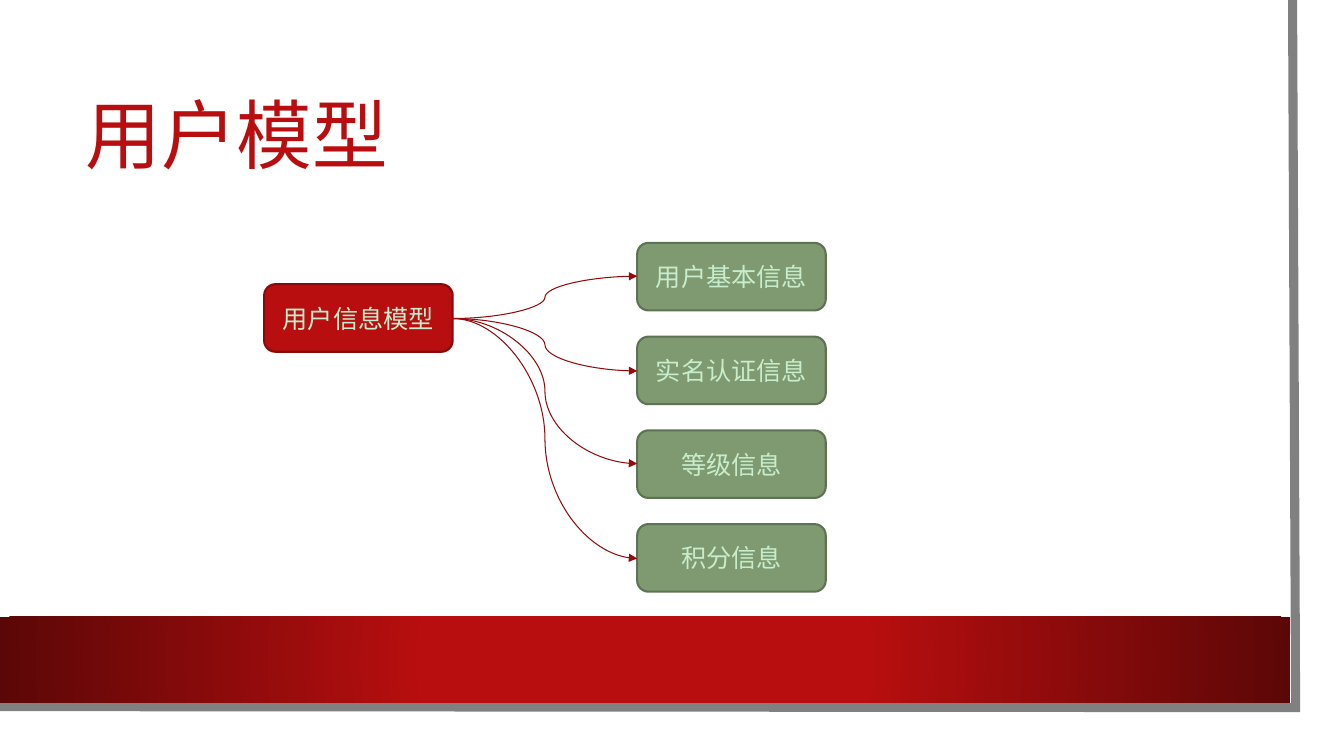
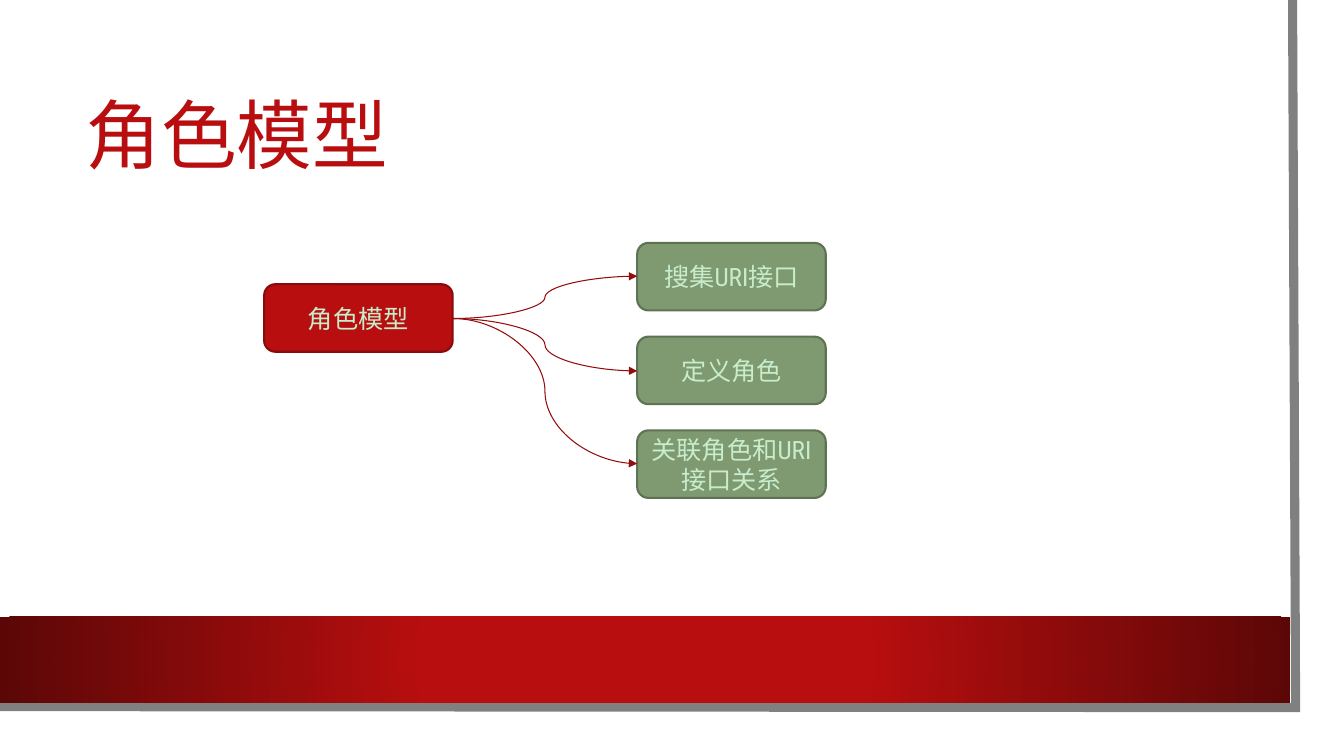
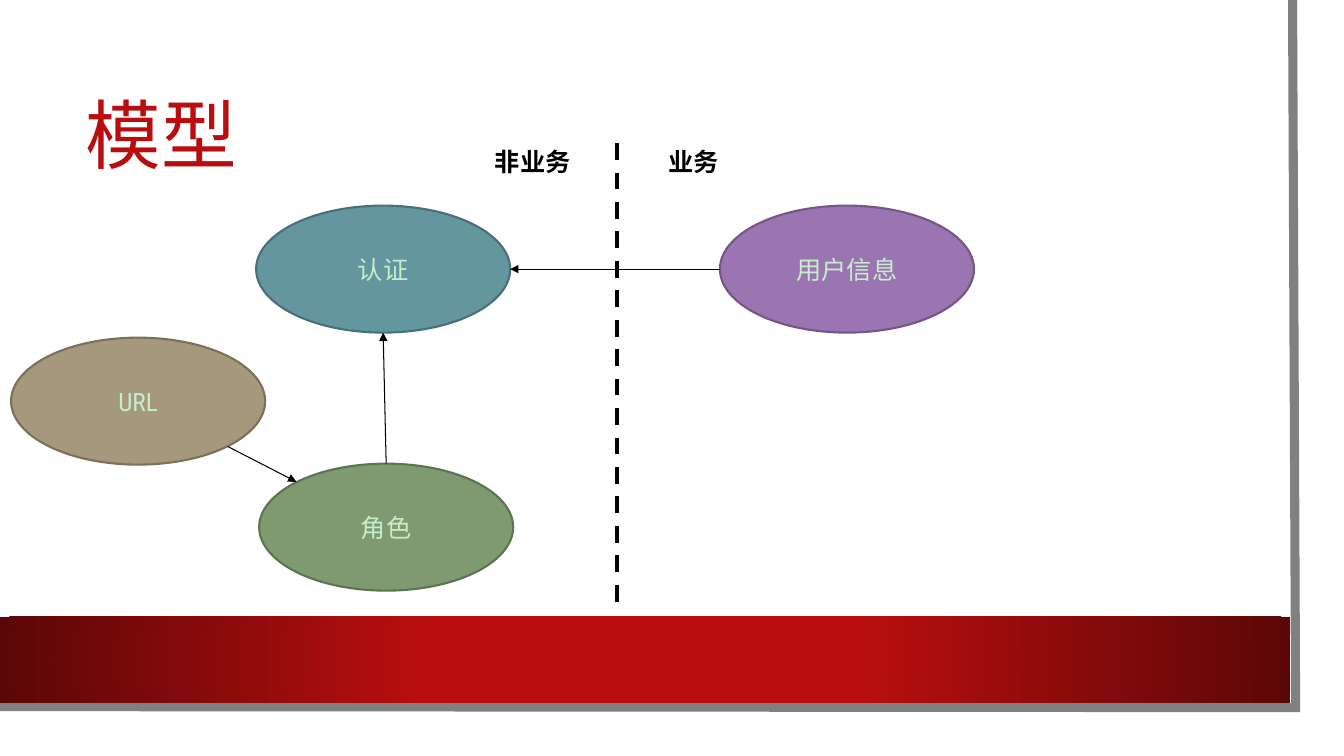
from dataclasses import dataclass
from math import cos, pi, sin

from lxml import etree
from pptx import Presentation
from pptx import util as u
from pptx.dml.color import RGBColor
from pptx.enum import dml, shapes, text
from pptx.oxml import parse_xml
from pptx.oxml.ns import nsdecls, qn

PX = 9144  # 100 px to the inch
FONT = "Roboto Condensed"
RED, DARK, WINE, GREY = "B80E0F", "5C0707", "930B0C", "808080"
PALE, BLACK = "C7EDCC", "000000"
ROUND = shapes.MSO_SHAPE.ROUNDED_RECTANGLE
OVAL = shapes.MSO_SHAPE.OVAL
SITES = {ROUND: 4, OVAL: 8}


@dataclass(frozen=True)
class Tone:
    fill: str
    edge: str


CHERRY = Tone(RED, "880A0B")
GREEN = Tone("7F9A71", "5E7254")
TEAL = Tone("64969F", "4A6F76")
PLUM = Tone("9B75B2", "735784")
SAND = Tone("A6987D", "7B705C")


@dataclass(frozen=True)
class Node:
    label: str
    x: int
    y: int
    w: int
    h: int
    tone: Tone
    kind: int

    def site(self, idx: int) -> tuple[int, int]:
        """Connection point, counted anticlockwise from the top."""
        turn = 2 * pi * idx / SITES[self.kind]
        return (round(self.x + self.w / 2 * (1 - sin(turn))),
                round(self.y + self.h / 2 * (1 - cos(turn))))


@dataclass(frozen=True)
class Link:
    start: str
    out: int
    end: str
    into: int


def rgb(code: str) -> RGBColor:
    return RGBColor.from_string(code)


def emu(*sizes: int) -> list[int]:
    return [size * PX for size in sizes]


def style(frame, size: int, color: str, bold: bool = False) -> None:
    for par in frame.paragraphs:
        for run in par.runs:
            font = run.font
            font.name, font.size, font.bold = FONT, u.Pt(size), bold
            font.color.rgb = rgb(color)


def stroke(item, color: str, width: float) -> None:
    item.line.color.rgb = rgb(color)
    item.line.width = u.Pt(width)


def build_frame(slide) -> None:
    """Draw the grey edge and red band, then move them to the layout."""
    pen = slide.shapes.build_freeform(1282, 0, scale=PX)
    pen.add_line_segments([(1285, 702), (-3, 701)], close=False)
    edge = pen.convert_to_shape()
    edge.fill.background()
    stroke(edge, GREY, 6.5)
    etree.SubElement(edge.get_or_add_ln(), qn("a:miter"), lim="800000")

    band = slide.shapes.add_shape(shapes.MSO_SHAPE.RECTANGLE,
                                  *emu(0, 612, 1280, 85))
    band.fill.background()
    band.line.fill.background()
    props = band.element.spPr
    props.replace(props.find(qn("a:noFill")), parse_xml(
        f'<a:gradFill {nsdecls("a")}><a:gsLst>'
        f'<a:gs pos="34000"><a:srgbClr val="{RED}"/></a:gs>'
        f'<a:gs pos="100000"><a:srgbClr val="{DARK}"/></a:gs></a:gsLst>'
        '<a:path path="circle">'
        '<a:fillToRect l="50000" t="50000" r="50000" b="50000"/>'
        '</a:path></a:gradFill>'))

    tree = slide.slide_layout.shapes.element
    for spot, item in enumerate((edge, band), 2):
        item.shadow.inherit = False
        item.element.nvSpPr.cNvPr.set("id", str(100 + spot))
        tree.insert(spot, item.element)


def add_slide(deck, name: str):
    slide = deck.slides.add_slide(deck.slide_layouts[5])
    title = slide.shapes.title
    title.left, title.top, title.width, title.height = emu(75, 75, 1137, 126)
    frame = title.text_frame
    frame.text = name
    frame.auto_size = text.MSO_AUTO_SIZE.NONE
    frame.vertical_anchor = text.MSO_ANCHOR.MIDDLE
    par = frame.paragraphs[0]
    par.alignment, par.line_spacing = text.PP_ALIGN.LEFT, 0.9
    style(frame, 54, RED)
    return slide


def add_node(slide, node: Node):
    item = slide.shapes.add_shape(node.kind,
                                  *emu(node.x, node.y, node.w, node.h))
    item.shadow.inherit = False
    item.fill.solid()
    item.fill.fore_color.rgb = rgb(node.tone.fill)
    stroke(item, node.tone.edge, 1.5)
    frame = item.text_frame
    frame.text = node.label
    frame.word_wrap = True
    frame.vertical_anchor = text.MSO_ANCHOR.MIDDLE
    frame.paragraphs[0].alignment = text.PP_ALIGN.CENTER
    style(frame, 18, PALE)
    return item


def add_line(slide, kind, start: tuple[int, int], end: tuple[int, int],
             color: str, width: float):
    line = slide.shapes.add_connector(kind, *emu(*start, *end))
    stroke(line, color, width)
    etree.SubElement(line.element.spPr, qn("a:effectLst"))
    return line


def add_graph(slide, nodes: list[Node], links: list[Link],
              kind, color: str) -> None:
    """Draw the nodes and the arrows glued to them."""
    by_name = {node.label: node for node in nodes}
    items = {node.label: add_node(slide, node) for node in nodes}
    for link in links:
        line = add_line(slide, kind, by_name[link.start].site(link.out),
                        by_name[link.end].site(link.into), color, 0.75)
        etree.SubElement(line.get_or_add_ln(), qn("a:tailEnd"),
                         type="triangle")
        glue = line.element.nvCxnSpPr.cNvCxnSpPr
        for tag, name, idx in (("a:stCxn", link.start, link.out),
                               ("a:endCxn", link.end, link.into)):
            etree.SubElement(glue, qn(tag), id=str(items[name].shape_id),
                             idx=str(idx))


def add_tree(slide, root: str, leaves: list[str]) -> None:
    nodes = [Node(root, 262, 282, 187, 67, CHERRY, ROUND)]
    nodes += [Node(leaf, 632, 241 + 93 * row, 187, 67, GREEN, ROUND)
              for row, leaf in enumerate(leaves)]
    links = [Link(root, 3, leaf, 1) for leaf in leaves]
    add_graph(slide, nodes, links, shapes.MSO_CONNECTOR.CURVE, WINE)


def add_label(slide, words: str, x: int, w: int) -> None:
    frame = slide.shapes.add_textbox(*emu(x, 140, w, 40)).text_frame
    frame.text = words
    frame.word_wrap = False
    frame.auto_size = text.MSO_AUTO_SIZE.SHAPE_TO_FIT_TEXT
    style(frame, 18, BLACK, bold=True)


def add_map(slide) -> None:
    """Draw the ovals on both sides of the dashed divide."""
    straight = shapes.MSO_CONNECTOR.STRAIGHT
    spots = [("认证", 254, 204, TEAL), ("用户信息", 714, 204, PLUM),
             ("角色", 257, 460, GREEN), ("URL", 11, 335, SAND)]
    nodes = [Node(name, x, y, 252, 126, tone, OVAL)
             for name, x, y, tone in spots]
    links = [Link("用户信息", 2, "认证", 6), Link("URL", 5, "角色", 1),
             Link("角色", 0, "认证", 4)]
    add_graph(slide, nodes, links, straight, BLACK)
    divide = add_line(slide, straight, (612, 142), (612, 604), BLACK, 3)
    divide.line.dash_style = dml.MSO_LINE.DASH
    add_label(slide, "非业务", 481, 96)
    add_label(slide, "业务", 653, 71)


def main() -> None:
    deck = Presentation()
    deck.slide_width, deck.slide_height = emu(1333, 750)
    user = add_slide(deck, "用户模型")
    build_frame(user)
    add_tree(user, "用户信息模型",
             ["用户基本信息", "实名认证信息", "等级信息", "积分信息"])
    add_tree(add_slide(deck, "角色模型"), "角色模型",
             ["搜集URI接口", "定义角色", "关联角色和URI接口关系"])
    add_map(add_slide(deck, "模型"))
    deck.save("out.pptx")


if __name__ == "__main__":
    main()
